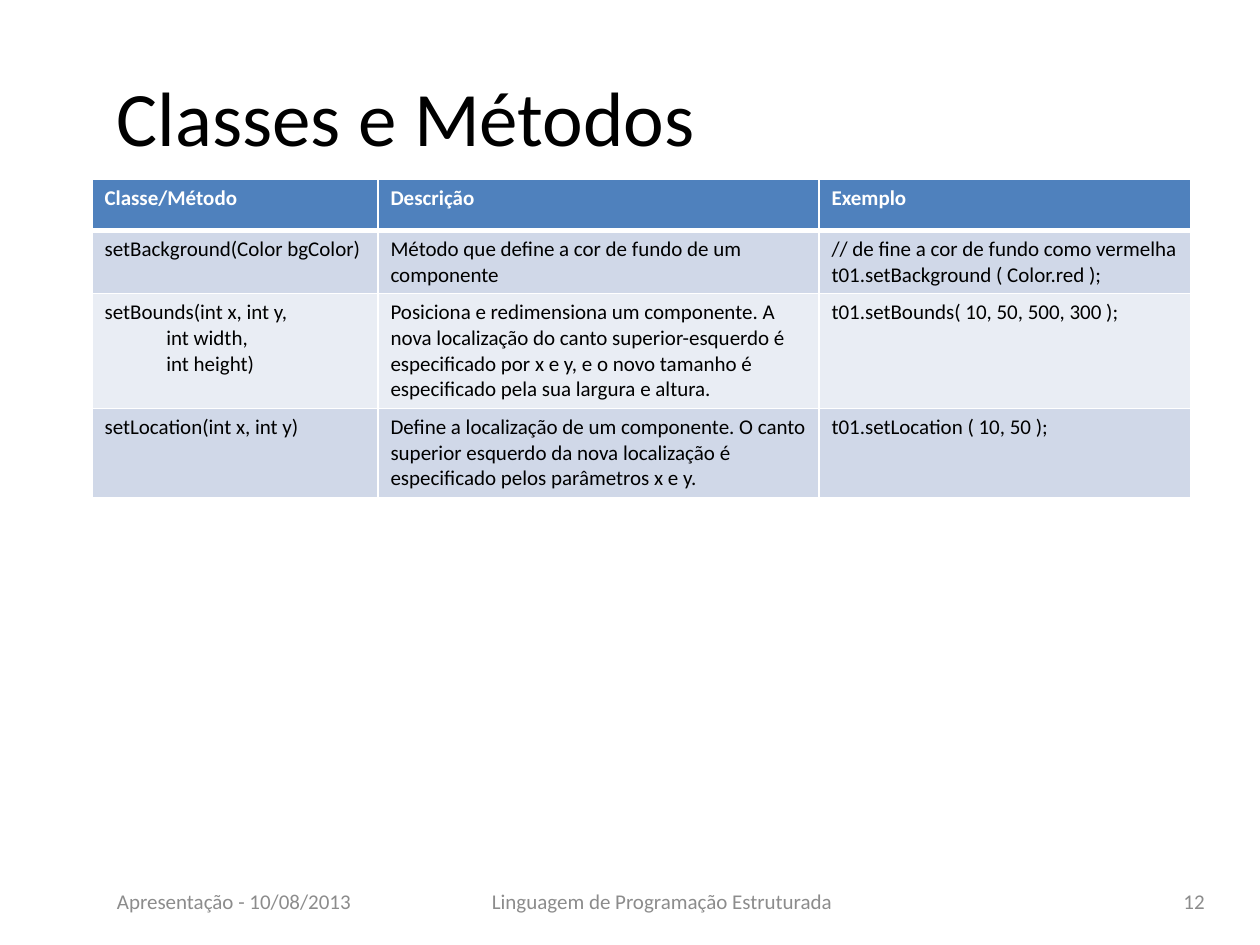
import pptx
import pptx.util
import pptx.dml.color
import pptx.enum.text
import pptx.oxml
import pptx.oxml.ns

COLORS = {"text": "000000", "white": "FFFFFF", "footer": "8C8C8C",
          "header": "4F81BD", "odd": "D0D8E8", "even": "E9EDF4"}
ALIGN = pptx.enum.text.PP_ALIGN
INDENT = 0.49
COLUMNS = [2.27, 3.5, 2.95]
HEIGHTS = [0.41, 0.5, 0.91, 0.71]
ROWS = [
    [["Classe/Método"], ["Descrição"], ["Exemplo"]],
    [["setBackground(Color bgColor)"],
     ["Método que define a cor de fundo de um componente"],
     ["// de fine a cor de fundo como vermelha",
      "t01.setBackground ( Color.red );"]],
    [["setBounds(int x, int y,", "\tint width,", "\tint height)"],
     ["Posiciona e redimensiona um componente. A nova localização do canto "
      "superior-esquerdo é especificado por x e y, e o novo tamanho é "
      "especificado pela sua largura e altura."],
     ["t01.setBounds( 10, 50, 500, 300 );"]],
    [["setLocation(int x, int y)"],
     ["Define a localização de um componente. O canto superior esquerdo da "
      "nova localização é especificado pelos parâmetros x e y."],
     ["t01.setLocation ( 10, 50 );"]],
]


def rgb(name):
    """Return the named colour."""
    return pptx.dml.color.RGBColor.from_string(COLORS[name])


def write(tf, lines, size=12, color="text", bold=False, align=ALIGN.LEFT):
    """Fill a text frame with one paragraph a line; a leading tab indents it."""
    tf.word_wrap = True
    for i, line in enumerate(lines):
        p = tf.paragraphs[0] if i == 0 else tf.add_paragraph()
        p.alignment = align
        if line.startswith("\t"):
            p._p.get_or_add_pPr().set("marL", str(pptx.util.Inches(INDENT)))
        r = p.add_run()
        r.text = line.strip()
        r.font.name = "Calibri"
        r.font.size = pptx.util.Pt(size)
        r.font.bold = bold
        r.font.color.rgb = rgb(color)


def add_text(s, box, text, **fmt):
    """Place a vertically centred text box."""
    tf = s.shapes.add_textbox(*map(pptx.util.Inches, box)).text_frame
    tf.vertical_anchor = pptx.enum.text.MSO_ANCHOR.MIDDLE
    write(tf, [text], **fmt)


def set_borders(cell, **widths):
    """Draw white cell borders with the given widths in points."""
    tcPr = cell._tc.get_or_add_tcPr()
    for i, side in enumerate("LRTB"):
        width = pptx.util.Pt(widths.get(side, 1))
        tcPr.insert(i, pptx.oxml.parse_xml(
            f'<a:ln{side} {pptx.oxml.ns.nsdecls("a")} w="{width}"><a:solidFill>'
            f'<a:srgbClr val="{COLORS["white"]}"/></a:solidFill></a:ln{side}>'))


def add_methods(s, left, top):
    """Place the table of methods."""
    box = (left, top, sum(COLUMNS), sum(HEIGHTS))
    table = s.shapes.add_table(len(ROWS), len(COLUMNS),
                               *map(pptx.util.Inches, box)).table
    for column, width in zip(table.columns, COLUMNS):
        column.width = pptx.util.Inches(width)
    for i, (row, height) in enumerate(zip(ROWS, HEIGHTS)):
        table.rows[i].height = pptx.util.Inches(height)
        fill = "header" if i == 0 else "odd" if i % 2 else "even"
        for j, lines in enumerate(row):
            cell = table.cell(i, j)
            cell.fill.solid()
            cell.fill.fore_color.rgb = rgb(fill)
            set_borders(cell, T=3 if i == 1 else 1, B=3 if i == 0 else 1)
            write(cell.text_frame, lines, bold=i == 0,
                  color="white" if i == 0 else "text")


def add_footer(s, top, height):
    """Place the date, subject and page number."""
    for left, width, text, align in [
            (0.83, 2.33, "Apresentação - 10/08/2013", ALIGN.LEFT),
            (3.67, 3.17, "Linguagem de Programação Estruturada", ALIGN.CENTER),
            (7.33, 2.33, "12", ALIGN.RIGHT)]:
        add_text(s, (left, top, width, height), text, color="footer", align=align)


prs = pptx.Presentation()
prs.slide_width = pptx.util.Inches(10)
prs.slide_height = pptx.util.Inches(7.5)
s = prs.slides.add_slide(prs.slide_layouts[6])
add_text(s, (0.83, 0.29, 8.83, 1.25), "Classes e Métodos", size=44)
add_footer(s, 6.95, 0.4)
add_methods(s, 0.73, 1.42)
prs.save("out.pptx")
